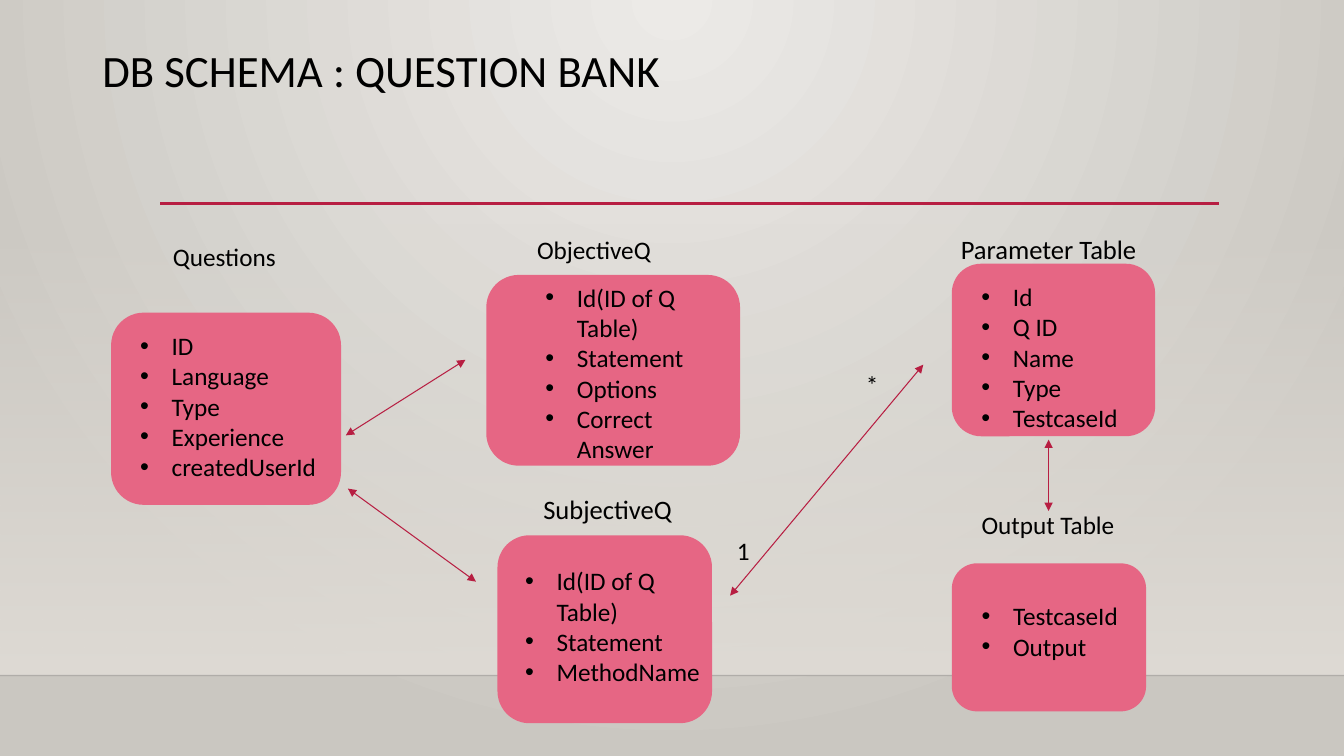
"""Build the question bank database schema slide."""
from lxml import etree
from pptx import Presentation
from pptx.dml.color import RGBColor
from pptx.enum.shapes import MSO_CONNECTOR, MSO_SHAPE
from pptx.enum.text import MSO_AUTO_SIZE, PP_ALIGN
from pptx.oxml.ns import qn
from pptx.util import Pt

STRAIGHT = MSO_CONNECTOR.STRAIGHT
RECTANGLE = MSO_SHAPE.RECTANGLE
ROUNDED = MSO_SHAPE.ROUNDED_RECTANGLE
FIT_SHAPE = MSO_AUTO_SIZE.SHAPE_TO_FIT_TEXT
LEFT, CENTER = PP_ALIGN.LEFT, PP_ALIGN.CENTER
color = RGBColor.from_string
PINK, CRIMSON = "E66684", "B71E42"


def add_text(box_place, lines, size=18, align=LEFT, spacing=1.0):
    box = page.shapes.add_textbox(*map(Pt, box_place))
    frame = box.text_frame
    frame.word_wrap = True
    frame.text = "\n".join(lines)
    for para in frame.paragraphs:
        para.alignment = align
        para.line_spacing = spacing
        para.font.name = "Calibri"
        para.font.size = Pt(size)
        para.font.color.rgb = color("000000")
    return frame


def add_line(ends, line_color, width):
    line = page.shapes.add_connector(STRAIGHT, *map(Pt, ends))
    line.line.color.rgb = color(line_color)
    line.line.width = Pt(width)
    etree.SubElement(line._element.spPr, qn("a:effectLst"))
    return line


deck = Presentation()
deck.slide_width, deck.slide_height = Pt(960), Pt(540)
page = deck.slides.add_slide(deck.slide_layouts[6])

backdrop = page.background.fill
backdrop.gradient()
for stop, shade in zip(backdrop.gradient_stops, ("ECEAE7", "CAC7C1")):
    stop.color.rgb = color(shade)
gradient = page.element.find(".//" + qn("a:gradFill"))
gradient.remove(gradient.find(qn("a:lin")))
glow = etree.SubElement(gradient, qn("a:path"), path="circle")
etree.SubElement(glow, qn("a:fillToRect"), l="43000", t="0", r="43000", b="100000")

wall = page.shapes.add_shape(RECTANGLE, Pt(0), Pt(159), Pt(960), Pt(323.5))
wall.shadow.inherit = False
wall.line.fill.background()
wall.fill.gradient()
wall.fill.gradient_angle = 270
for stop in wall.fill.gradient_stops:
    stop.color.rgb = color("DFDBD5")
clear_stop = wall._element.spPr.find(".//" + qn("a:srgbClr"))
etree.SubElement(clear_stop, qn("a:alpha"), val="0")

floor_edge = add_line((0, 482.5, 960, 482.5), "000001", 1)
edge_color = floor_edge._element.spPr.find(".//" + qn("a:srgbClr"))
etree.SubElement(edge_color, qn("a:alpha"), val="20000")
add_line((114.5, 145.5, 871, 145.5), CRIMSON, 2.5)

add_text((66, 31, 828, 104.5), ["DB SCHEMA : QUESTION BANK"], 32, spacing=0.9)

tables = [
    ((80, 224, 163, 136), (93, 232.5, 148.5, 116.5),
     ["ID", "Language", "Type", "Experience", "createdUserId"]),
    ((348, 197, 180, 135), (382.5, 198, 125.5, 160),
     ["Id(ID of Q Table)", "Statement", "Options", "Correct Answer"]),
    ((356, 383, 152, 133), (368, 400.5, 139.5, 116.5),
     ["Id(ID of Q Table)", "Statement", "MethodName"]),
    ((680.5, 189, 144, 122), (694, 197.5, 130.5, 116.5),
     ["Id", "Q ID", "Name", "Type", "TestcaseId"]),
    ((680.5, 403, 137.5, 104.5), (694, 425.5, 120, 51),
     ["TestcaseId", "Output"]),
]
for card_place, list_place, columns in tables:
    card = page.shapes.add_shape(ROUNDED, *map(Pt, card_place))
    card.shadow.inherit = False
    card.fill.solid()
    card.fill.fore_color.rgb = color(PINK)
    card.line.color.rgb = color(PINK)
    card.line.width = Pt(1.25)
    column_list = add_text(list_place, columns)
    column_list.auto_size = FIT_SHAPE
    for para in column_list.paragraphs:
        props = para._p.get_or_add_pPr()
        props.set("marL", str(Pt(22.5)))
        props.set("indent", str(-Pt(22.5)))
        etree.SubElement(props, qn("a:buFont"), typeface="Arial")
        bullet = etree.SubElement(props, qn("a:buChar"), char="•")
        props.remove(bullet)
        run_defaults = props.find(qn("a:defRPr"))
        run_defaults.addprevious(props.find(qn("a:buFont")))
        run_defaults.addprevious(bullet)

for label_place, label in [
    ((347, 344, 174, 31.5), "SubjectiveQ"),
    ((646, 158.5, 206, 67), "Parameter Table"),
]:
    heading = add_text(label_place, [label], 19, CENTER, 0.9)
    heading.margin_left = heading.margin_top = heading.margin_right = Pt(10.8)
    heading.margin_bottom = Pt(0)

for left, top, width, label in [
    (116.5, 168.5, 91, "Questions"),
    (376.5, 163.5, 125.5, "ObjectiveQ"),
    (694, 360.5, 125.5, "Output Table"),
    (521.5, 378.5, 12, "1"),
    (611.5, 260.5, 28, "*"),
]:
    add_text((left, top, width, 29), [label]).auto_size = FIT_SHAPE

for ends in [
    (247, 311, 332.5, 257),
    (248.5, 349, 340, 415.5),
    (521.5, 425.5, 659.5, 260.5),
    (749, 314, 749, 365),
]:
    relation = add_line(ends, CRIMSON, 0.75)
    outline = relation._element.spPr.find(qn("a:ln"))
    for end in ("a:headEnd", "a:tailEnd"):
        etree.SubElement(outline, qn(end), type="triangle")

deck.save("out.pptx")
